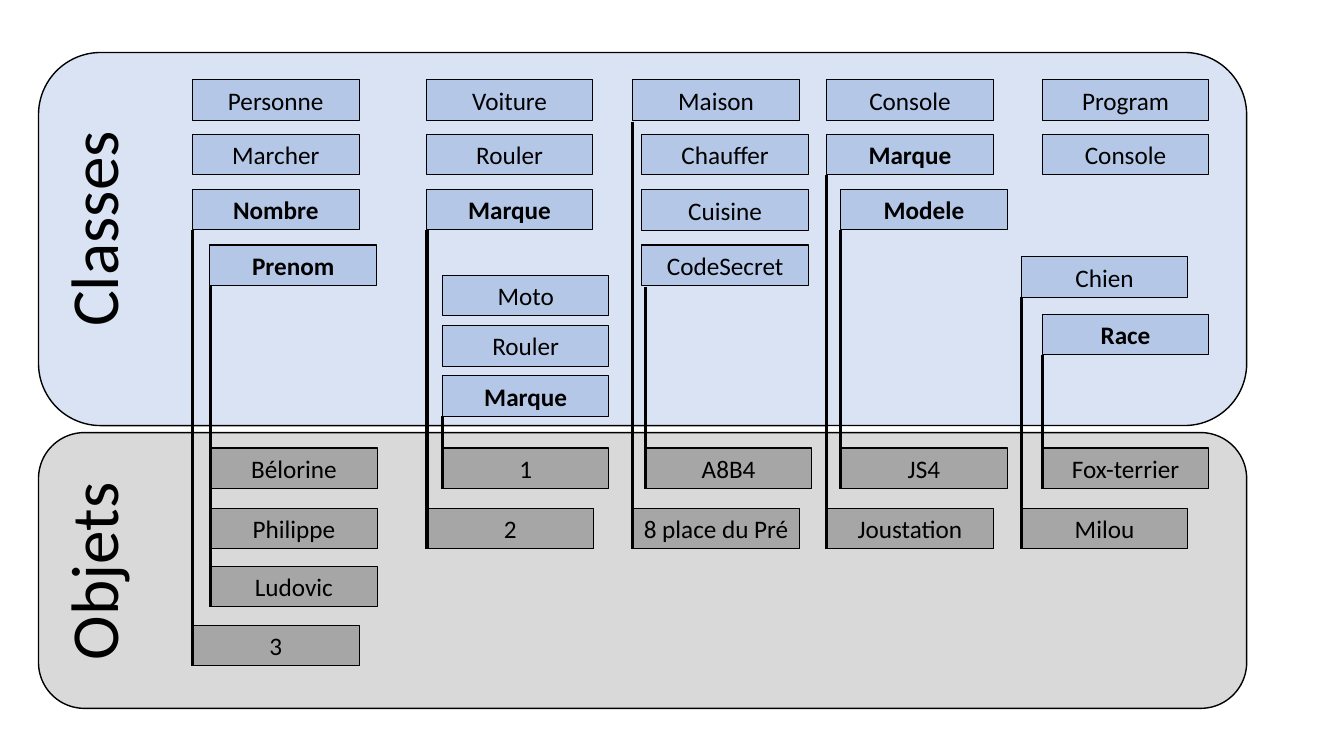
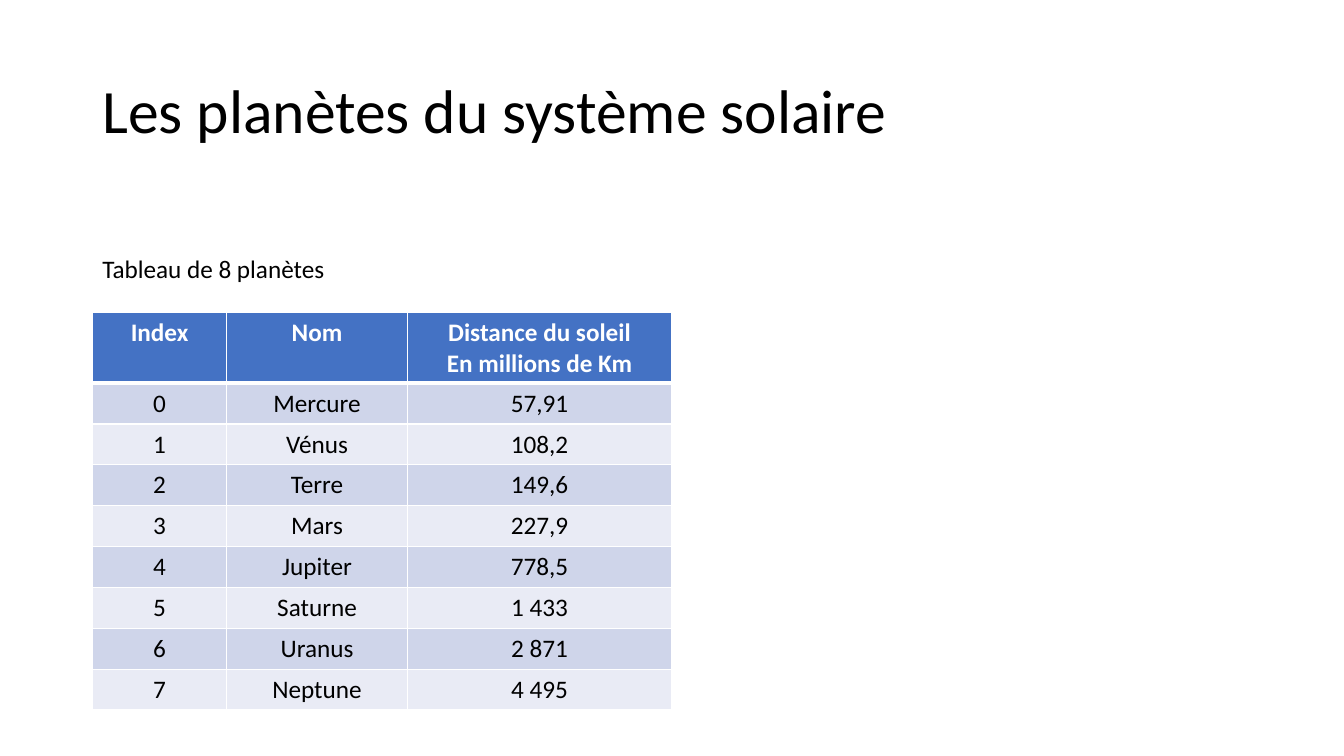
from dataclasses import dataclass

from lxml import etree
from pptx import Presentation
from pptx.dml.color import RGBColor
from pptx.enum import shapes, text
from pptx.oxml import ns
from pptx.util import Pt


@dataclass(frozen=True)
class Theme:
    font: str = "Calibri"
    ink: str = "000000"
    paper: str = "FFFFFF"
    class_panel: str = "DAE3F3"
    class_box: str = "B4C7E7"
    object_panel: str = "D9D9D9"
    object_box: str = "A6A6A6"
    header: str = "4472C4"
    bands: tuple = ("CFD5EA", "E9EBF5")
    body_size: float = 18
    title_size: float = 44
    label_size: float = 48
    panel_line: float = 1
    box_line: float = 0.75
    link_line: float = 2.25


T = Theme()
CENTER = text.PP_ALIGN.CENTER
LEFT = text.PP_ALIGN.LEFT
MIDDLE = text.MSO_ANCHOR.MIDDLE
BOX_W, BOX_H = 119, 29
OBJECT_ROWS = (11, 54, 95.5, 137.5)

CLASS_PANEL = (27.5, 37.5, 863, 266.5)
OBJECT_PANEL = (27.5, 309, 863, 197)

CLASS_STACKS = [
    (110, 19.5, 39, ["Personne", "Marcher", "*Nombre"]),
    (122.5, 137.5, 0, ["*Prenom"]),
    (277, 19.5, 39, ["Voiture", "Rouler", "*Marque"]),
    (288.5, 159, 36, ["Moto", "Rouler", "*Marque"]),
    (424.5, 19.5, 0, ["Maison"]),
    (431, 58.5, 39.5, ["Chauffer", "Cuisine", "CodeSecret"]),
    (563, 19.5, 39, ["Console", "*Marque"]),
    (573, 97.5, 0, ["*Modele"]),
    (717, 19.5, 39, ["Program", "Console"]),
    (702, 146, 0, ["Chien"]),
    (717, 187, 0, ["*Race"]),
]

OBJECT_STACKS = [
    (123, 0, ["Bélorine", "Philippe", "Ludovic"], 137.5),
    (110, 3, ["3"], 97.5),
    (288.5, 0, ["1"], 231),
    (277.5, 1, ["2"], 97.5),
    (433.5, 0, ["A8B4"], 138.5),
    (424.5, 1, ["8 place du Pré"], 21),
    (573, 0, ["JS4"], 97.5),
    (563, 1, ["Joustation"], 58.5),
    (717, 0, ["Fox-terrier"], 187),
    (702, 1, ["Milou"], 146),
]

PLANETS = [
    ("Mercure", "57,91"),
    ("Vénus", "108,2"),
    ("Terre", "149,6"),
    ("Mars", "227,9"),
    ("Jupiter", "778,5"),
    ("Saturne", "1 433"),
    ("Uranus", "2 871"),
    ("Neptune", "4 495"),
]


def rgb(color):
    return RGBColor.from_string(color)


def pts(values):
    return [Pt(v) for v in values]


def write(tf, content, size=T.body_size, color=T.ink, bold=False, align=CENTER):
    for i, line in enumerate(content.split("\n")):
        p = tf.add_paragraph() if i else tf.paragraphs[0]
        p.text = line
        p.alignment = align
        p.font.name = T.font
        p.font.size = Pt(size)
        p.font.bold = bold
        p.font.color.rgb = rgb(color)


def add_box(s, kind, box, fill, line):
    sp = s.shapes.add_shape(kind, *pts(box))
    sp.shadow.inherit = False
    sp.fill.solid()
    sp.fill.fore_color.rgb = rgb(fill)
    sp.line.color.rgb = rgb(T.ink)
    sp.line.width = Pt(line)
    return sp


def add_text(s, box, content, size, align=LEFT, wrap=False):
    sp = s.shapes.add_textbox(*pts(box))
    tf = sp.text_frame
    tf.word_wrap = wrap
    tf.vertical_anchor = MIDDLE
    write(tf, content, size, align=align)
    return sp


def add_panel(s, box, label, label_y, fill):
    add_box(s, shapes.MSO_SHAPE.ROUNDED_RECTANGLE, box, fill, T.panel_line)
    w, h = 155, 65.5
    center_x, center_y = box[0] + 38, box[1] + label_y
    label_box = (center_x - w / 2, center_y - h / 2, w, h)
    add_text(s, label_box, label, T.label_size, CENTER).rotation = 270


def add_tag(s, panel, x, y, name, fill):
    box = (panel[0] + x, panel[1] + y, BOX_W, BOX_H)
    sp = add_box(s, shapes.MSO_SHAPE.RECTANGLE, box, fill, T.box_line)
    tf = sp.text_frame
    tf.word_wrap = False
    tf.vertical_anchor = MIDDLE
    write(tf, name.lstrip("*"), bold=name.startswith("*"))


def add_link(s, x, top, bottom):
    cx = s.shapes.add_connector(shapes.MSO_CONNECTOR.STRAIGHT, *pts((x, top, x, bottom)))
    cx.line.color.rgb = rgb(T.ink)
    cx.line.width = Pt(T.link_line)
    etree.SubElement(cx._element.spPr, ns.qn("a:effectLst"))


def add_classes(s, panel):
    add_panel(s, panel, "Classes", 126, T.class_panel)
    for x, top, pitch, names in CLASS_STACKS:
        for i, name in enumerate(names):
            add_tag(s, panel, x, top + i * pitch, name, T.class_box)


def add_objects(s, panel):
    add_panel(s, panel, "Objets", 99, T.object_panel)
    for x, first, names, _ in OBJECT_STACKS:
        for row, name in enumerate(names, first):
            add_tag(s, panel, x, OBJECT_ROWS[row], name, T.object_box)


def add_links(s, class_panel, object_panel):
    for x, first, names, class_y in OBJECT_STACKS:
        last = OBJECT_ROWS[first + len(names) - 1]
        add_link(s, object_panel[0] + x, class_panel[1] + class_y + BOX_H,
                 object_panel[1] + last + BOX_H)


def set_borders(cell, widths):
    tcPr = cell._tc.get_or_add_tcPr()
    for side, width in zip("LRTB", widths):
        ln = etree.SubElement(tcPr, ns.qn(f"a:ln{side}"), w=str(int(Pt(width))))
        fill = etree.SubElement(ln, ns.qn("a:solidFill"))
        etree.SubElement(fill, ns.qn("a:srgbClr"), val=T.paper)


def add_planet_table(s, left, top):
    header = ("Index", "Nom", "Distance du soleil\nEn millions de Km")
    rows = [header] + [(str(i), *planet) for i, planet in enumerate(PLANETS)]
    widths = (96, 129, 189)
    heights = [50.4] + [29.2] * len(PLANETS)
    box = (left, top, sum(widths), sum(heights))
    table = s.shapes.add_table(len(rows), len(widths), *pts(box)).table
    for column, width in zip(table.columns, widths):
        column.width = Pt(width)
    for i, (values, height) in enumerate(zip(rows, heights)):
        table.rows[i].height = Pt(height)
        is_header = i == 0
        for j, value in enumerate(values):
            cell = table.cell(i, j)
            set_borders(cell, (1, 1, 3 if i == 1 else 1, 3 if is_header else 1))
            cell.fill.solid()
            cell.fill.fore_color.rgb = rgb(T.header if is_header else T.bands[(i - 1) % 2])
            write(cell.text_frame, value, color=T.paper if is_header else T.ink, bold=is_header)


def add_title(s, box, content):
    sp = add_text(s, box, content, T.title_size, wrap=True)
    sp.text_frame.paragraphs[0].line_spacing = 0.9


def build_classes_slide(s):
    add_classes(s, CLASS_PANEL)
    add_objects(s, OBJECT_PANEL)
    add_links(s, CLASS_PANEL, OBJECT_PANEL)


def build_planets_slide(s):
    left = 66
    add_title(s, (left, 28.8, 828, 104.4), "Les planètes du système solaire")
    add_text(s, (left, 177, 175, 29), "Tableau de 8 planètes", T.body_size)
    add_planet_table(s, left, 223.2)


def main():
    prs = Presentation()
    prs.slide_width, prs.slide_height = Pt(960), Pt(540)
    for build in (build_classes_slide, build_planets_slide):
        build(prs.slides.add_slide(prs.slide_layouts[6]))
    prs.save("out.pptx")


if __name__ == "__main__":
    main()
